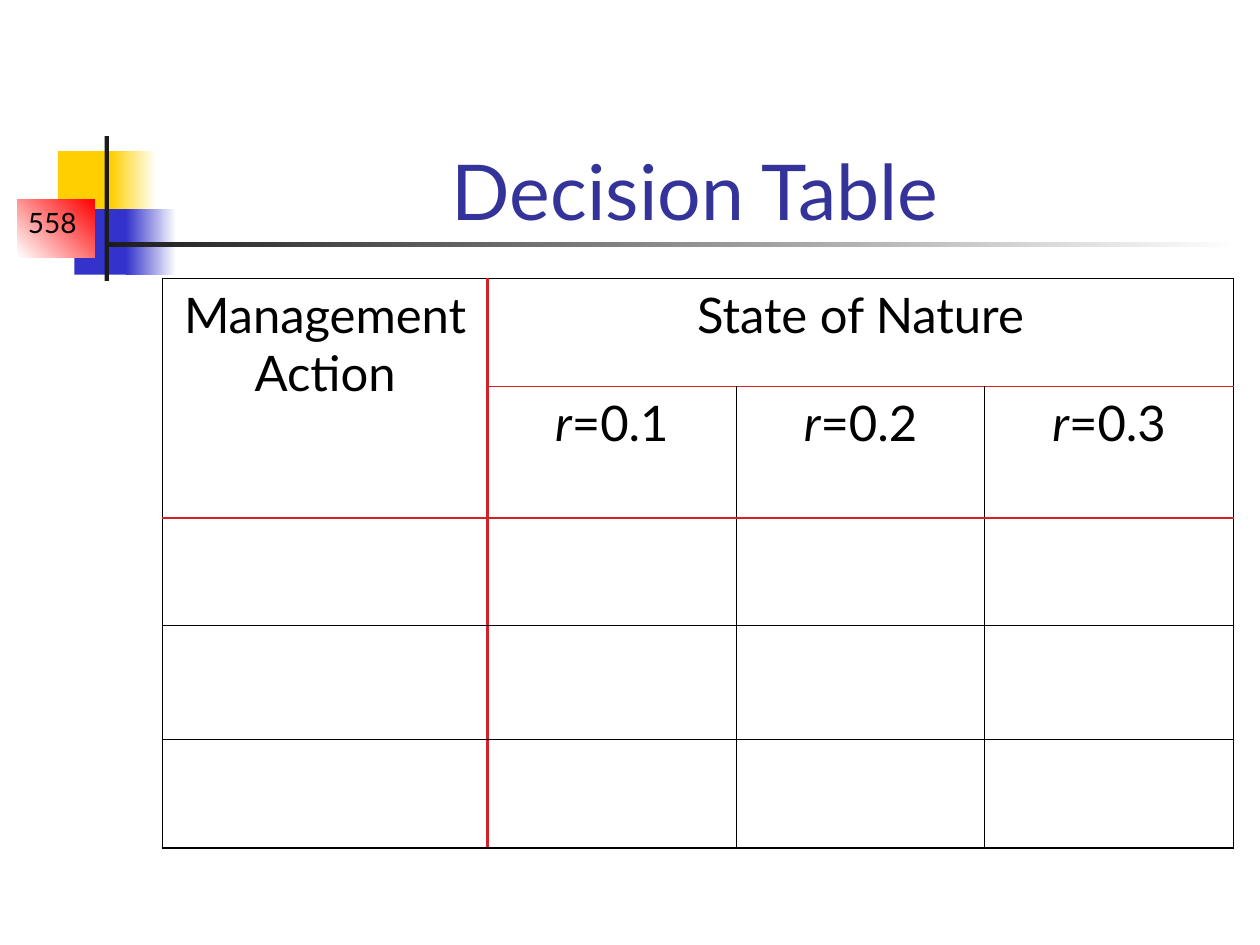
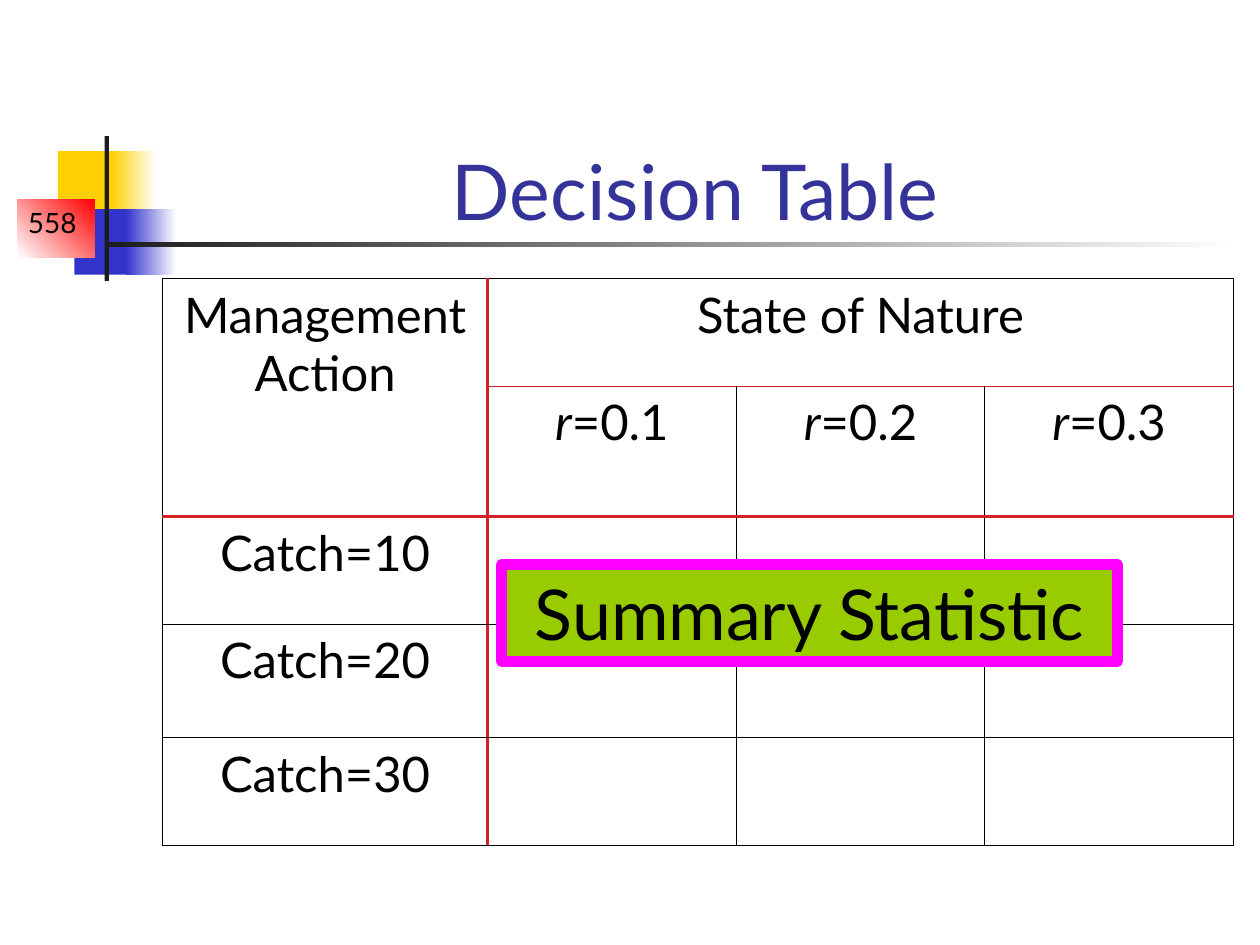
import dataclasses
import itertools

import lxml.etree
import pptx
import pptx.dml.color
import pptx.enum.shapes
import pptx.enum.text
import pptx.oxml.ns
import pptx.util

COLORS = {
    "white": "FFFFFF", "black": "000000", "charcoal": "1C1C1C",
    "yellow": "FFCF01", "blue": "3333CC", "red": "FF0000",
    "title": "333399", "rule": "D32128", "green": "99CC00", "magenta": "FF00FF",
}
FONT = "Lato"
OUTER = ("black", 1.08)
INNER = ("black", 0.45)
STRONG = ("rule", 1.47)
FINE = ("rule", 0.45)
VERTICAL_LINES = [OUTER, STRONG, INNER, INNER, OUTER]
HORIZONTAL_LINES = [OUTER, FINE, STRONG, INNER, INNER, OUTER]
ROW_SHARES = [0.19, 0.23, 0.19, 0.2, 0.19]
ACTION_SHARE = 30.35
GROWTH_RATES = ["0.1", "0.2", "0.3"]


@dataclasses.dataclass
class Box:
    """Rectangle in inches whose areas are given in percent."""
    left: float
    top: float
    width: float
    height: float

    def area(self, left, top, width, height):
        """Return the box at the given percentages of this one."""
        return Box(self.left + self.width * left / 100,
                   self.top + self.height * top / 100,
                   self.width * width / 100, self.height * height / 100)

    def lengths(self):
        """Return left, top, width and height as slide lengths."""
        return [pptx.util.Inches(side) for side in dataclasses.astuple(self)]


PAGE = Box(0, 0, 10, 7.5)


def color(name):
    """Return the named colour."""
    return pptx.dml.color.RGBColor.from_string(COLORS[name])


def write(frame, spans, size, tint="black", before=0):
    """Write one centred paragraph from (text, italic) spans."""
    para = frame.paragraphs[0]
    para.alignment = pptx.enum.text.PP_ALIGN.CENTER
    para.space_before = pptx.util.Pt(before)
    for text, italic in spans:
        span = para.add_run()
        span.text = text
        span.font.name = FONT
        span.font.size = pptx.util.Pt(size)
        span.font.italic = italic
        span.font.color.rgb = color(tint)


def add_block(page, box, start, end=None, angle=0):
    """Add a plain or gradient rectangle without outline."""
    block = page.shapes.add_shape(pptx.enum.shapes.MSO_SHAPE.RECTANGLE, *box.lengths())
    block.shadow.inherit = False
    block.line.fill.background()
    if end is None:
        block.fill.solid()
        block.fill.fore_color.rgb = color(start)
        return block
    block.fill.gradient()
    block.fill.gradient_angle = angle
    for stop, name in zip(block.fill.gradient_stops, (start, end)):
        stop.color.rgb = color(name)
    return block


def add_band(page, box):
    """Add the coloured blocks, rules and page number beside the title."""
    add_block(page, box.area(4.6, 16, 4.8, 41.6), "yellow")
    add_block(page, box.area(8.8, 16, 3.6, 41.6), "yellow", "white")
    add_block(page, box.area(5.9, 52.8, 4.6, 41.6), "blue")
    add_block(page, box.area(10, 52.8, 4, 41.6), "blue", "white")
    add_block(page, box.area(1.4, 46.4, 6.1, 36.8), "white", "red", 45)
    add_block(page, box.area(8.3, 6.4, 0.35, 92), "charcoal")
    add_block(page, box.area(8.3, 73.6, 90, 3.2), "charcoal", "white")
    number = page.shapes.add_textbox(*box.area(0, 46.4, 8.3, 29.6).lengths())
    number.text_frame.word_wrap = True
    write(number.text_frame, [("558", False)], 16)


def add_title(page, box, text):
    """Place and format the title placeholder."""
    title = page.shapes.title
    title.left, title.top, title.width, title.height = box.lengths()
    frame = title.text_frame
    frame.auto_size = pptx.enum.text.MSO_AUTO_SIZE.NONE
    frame.vertical_anchor = pptx.enum.text.MSO_ANCHOR.BOTTOM
    write(frame, [(text, False)], 44, "title")


def set_border(cell, side, style):
    """Draw one side of a table cell."""
    name, width = style
    line = lxml.etree.SubElement(cell._tc.get_or_add_tcPr(),
                                 pptx.oxml.ns.qn("a:ln" + side),
                                 w=str(pptx.util.Pt(width)))
    fill = lxml.etree.SubElement(line, pptx.oxml.ns.qn("a:solidFill"))
    lxml.etree.SubElement(fill, pptx.oxml.ns.qn("a:srgbClr"), val=COLORS[name])


def block_bounds(row, column):
    """Return the left, right, top and bottom grid lines around a cell's block."""
    if column == 0 and row < 2:
        return 0, 1, 0, 2
    if row == 0:
        return 1, 4, 0, 1
    return column, column + 1, row, row + 1


def rule_cell(cell, row, column):
    """Draw the grid lines that bound a cell or its merged block."""
    bounds = block_bounds(row, column)
    edges = (column, column + 1, row, row + 1)
    lines = (VERTICAL_LINES, VERTICAL_LINES, HORIZONTAL_LINES, HORIZONTAL_LINES)
    for side, bound, edge, styles in zip("LRTB", bounds, edges, lines):
        if cell.is_merge_origin or bound == edge:
            set_border(cell, side, styles[bound])
    cell.fill.background()


def add_decision_table(page, box, actions):
    """Add the table of management actions against states of nature."""
    frame = page.shapes.add_table(len(ROW_SHARES), len(GROWTH_RATES) + 1, *box.lengths())
    table = frame.table
    table.first_row = table.horz_banding = False
    rate_share = (100 - ACTION_SHARE) / len(GROWTH_RATES)
    for index, column in enumerate(table.columns):
        share = rate_share if index else ACTION_SHARE
        column.width = pptx.util.Inches(box.width * share / 100)
    for row, share in zip(table.rows, ROW_SHARES):
        row.height = pptx.util.Inches(box.height * share)
    table.cell(0, 0).merge(table.cell(1, 0))
    table.cell(0, 1).merge(table.cell(0, 3))
    entries = {(0, 0): [("Management Action", False)],
               (0, 1): [("State of Nature", False)]}
    for column, rate in enumerate(GROWTH_RATES, 1):
        entries[1, column] = [("r", True), ("=" + rate, False)]
    for row, action in enumerate(actions, 2):
        entries[row, 0] = [(action, False)]
    for (row, column), spans in entries.items():
        write(table.cell(row, column).text_frame, spans, 28, before=7)
    for row, column in itertools.product(range(len(table.rows)), range(len(table.columns))):
        rule_cell(table.cell(row, column), row, column)


def add_callout(page, box, text):
    """Add the framed label over the table body."""
    callout = add_block(page, box, "green")
    callout.line.color.rgb = color("magenta")
    callout.line.width = pptx.util.Pt(6)
    callout.text_frame.word_wrap = False
    callout.text_frame.vertical_anchor = pptx.enum.text.MSO_ANCHOR.TOP
    write(callout.text_frame, [(text, False)], 40)


def add_decision_page(deck, table_height, actions=()):
    """Add a page with the shared band, title and decision table."""
    page = deck.slides.add_slide(deck.slide_layouts[5])
    add_band(page, PAGE.area(0, 13.33, 100, 16.67))
    add_title(page, PAGE.area(12.6, 8.93, 85.2, 16.67), "Decision Table")
    add_decision_table(page, PAGE.area(12.9, 29.47, 85, table_height), actions)
    return page


def main():
    """Build and save the deck."""
    deck = pptx.Presentation()
    deck.slide_width = pptx.util.Inches(PAGE.width)
    deck.slide_height = pptx.util.Inches(PAGE.height)
    add_decision_page(deck, 60.27)
    catches = [f"Catch={amount}" for amount in (10, 20, 30)]
    page = add_decision_page(deck, 60, catches)
    add_callout(page, PAGE.area(39.8, 59.73, 48.9, 10.27), "Summary Statistic")
    deck.save("out.pptx")


if __name__ == "__main__":
    main()
